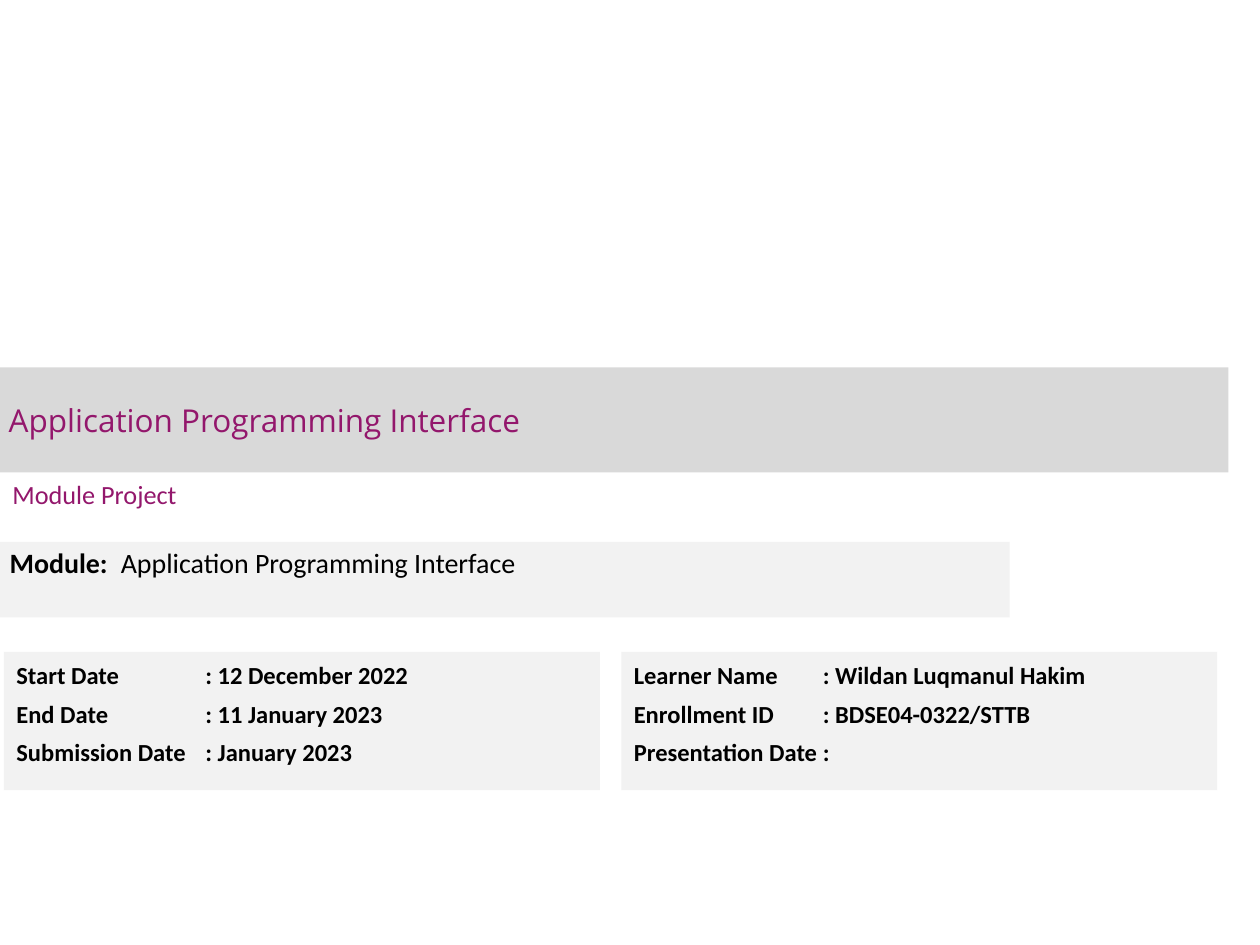
from lxml.etree import SubElement
from pptx import Presentation
from pptx.dml.color import RGBColor
from pptx.enum.shapes import MSO_SHAPE
from pptx.enum.text import MSO_ANCHOR, PP_ALIGN
from pptx.oxml.ns import qn
from pptx.util import Pt

COLORS = {"purple": "93176C", "black": "000000", "band": "D9D9D9", "panel": "F2F2F2"}

TITLE = "Application Programming Interface"
SUBTITLE = "Module Project"
MODULE = ("Module:", "Application Programming Interface")
PANELS = [
    [("Start Date", ": 12 December 2022"),
     ("End Date", ": 11 January 2023"),
     ("Submission Date", ": January 2023")],
    [("Learner Name", ": Wildan Luqmanul Hakim"),
     ("Enrollment ID", ": BDSE04-0322/STTB"),
     ("Presentation Date", ":")],
]

TITLE_FONT = {"name": "Open Sans", "size": Pt(18)}
SUBTITLE_FONT = {"name": "Calibri", "size": Pt(15)}
MODULE_FONT = {"name": "Calibri", "size": Pt(16), "bold": True}
PANEL_FONT = {"name": "Calibri", "size": Pt(14), "bold": True}
ROW_FORMAT = {"line_spacing": Pt(18), "space_before": Pt(2), "space_after": Pt(2)}

PANEL_LEFT, PANEL_TOP, PANEL_W, PANEL_H, PANEL_STEP = 2.3, 372.5, 340.5, 79, 352.8
MODULE_TAB, PANEL_TAB = 63.5, 108


def set_attrs(obj, values):
    for name, value in values.items():
        setattr(obj, name, value)


def add_box(slide, box, fill=None, anchor=MSO_ANCHOR.TOP):
    """Add a borderless rectangle, or a text box if there is no fill."""
    box = [Pt(v) for v in box]
    if fill:
        s = slide.shapes.add_shape(MSO_SHAPE.RECTANGLE, *box)
        s.shadow.inherit = False
        s.fill.solid()
        s.fill.fore_color.rgb = RGBColor.from_string(COLORS[fill])
        s.line.fill.background()
    else:
        s = slide.shapes.add_textbox(*box)
    set_attrs(s.text_frame, {"word_wrap": True, "vertical_anchor": anchor})
    return s.text_frame


def add_run(p, text, font, color):
    p.alignment = PP_ALIGN.LEFT
    r = p.add_run()
    r.text = text
    set_attrs(r.font, font)
    r.font.color.rgb = RGBColor.from_string(COLORS[color])


def add_rows(tf, rows, font, tab, value_font):
    """Write label and value pairs, with the values lined up at a tab stop."""
    for i, (label, value) in enumerate(rows):
        p = tf.add_paragraph() if i else tf.paragraphs[0]
        set_attrs(p, ROW_FORMAT)
        add_run(p, label + "\t", font, "black")
        add_run(p, value, value_font, "black")
        stops = SubElement(p._p.get_or_add_pPr(), qn("a:tabLst"))
        SubElement(stops, qn("a:tab"), pos=str(Pt(tab)), algn="l")


def main():
    prs = Presentation()
    prs.slide_width, prs.slide_height = Pt(720), Pt(540)
    slide = prs.slides.add_slide(prs.slide_layouts[6])

    tf = add_box(slide, (0, 210, 702, 60), "band", MSO_ANCHOR.MIDDLE)
    set_attrs(tf, {"margin_left": Pt(5), "margin_right": Pt(5),
                   "margin_top": Pt(3), "margin_bottom": Pt(3)})
    add_run(tf.paragraphs[0], TITLE, TITLE_FONT, "purple")

    tf = add_box(slide, (0, 259.5, 462, 45), anchor=MSO_ANCHOR.MIDDLE)
    add_run(tf.paragraphs[0], SUBTITLE, SUBTITLE_FONT, "purple")

    tf = add_box(slide, (-1.5, 309.6, 578.5, 43.2), "panel")
    add_rows(tf, [MODULE], MODULE_FONT, MODULE_TAB, {**MODULE_FONT, "bold": False})

    for i, rows in enumerate(PANELS):
        left = PANEL_LEFT + i * PANEL_STEP
        tf = add_box(slide, (left, PANEL_TOP, PANEL_W, PANEL_H), "panel")
        add_rows(tf, rows, PANEL_FONT, PANEL_TAB, PANEL_FONT)

    prs.save("out.pptx")


if __name__ == "__main__":
    main()
